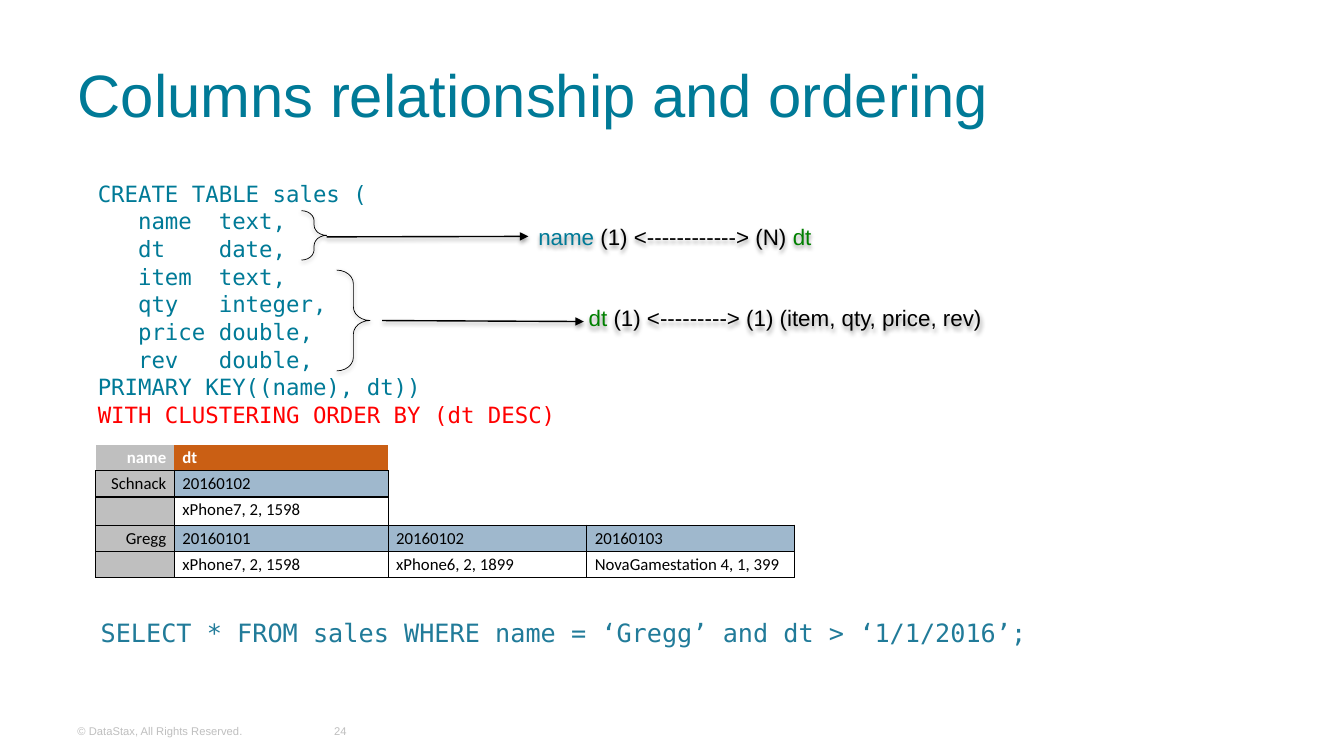
"""Build the slide on column relationships and clustering order."""
from dataclasses import dataclass

from lxml.etree import SubElement
from pptx import Presentation
from pptx.dml.color import RGBColor
from pptx.enum.shapes import MSO_CONNECTOR, MSO_SHAPE
from pptx.enum.text import MSO_ANCHOR, PP_ALIGN
from pptx.oxml.ns import qn
from pptx.shapes.base import BaseShape
from pptx.slide import Slide
from pptx.table import _Cell
from pptx.text.text import Font, TextFrame
from pptx.util import Emu, Pt

COLORS = {
    "teal": "007A97", "query": "217B99", "red": "FF0000", "green": "008000",
    "black": "000000", "white": "FFFFFF", "gray": "BFBFBF",
    "orange": "CA5F14", "blue": "9FB8CD",
}
MONO = "DejaVu Sans Mono"
NO_STYLE_TABLE = "{2D5ABB26-0587-4C30-8999-92F81FD0307C}"

CODE = [
    "CREATE TABLE sales (",
    "   name  text,",
    "   dt    date,",
    "   item  text,",
    "   qty   integer,",
    "   price double,",
    "   rev   double,",
    "PRIMARY KEY((name), dt))",
    "WITH CLUSTERING ORDER BY (dt DESC)",
]
COLUMN_WIDTHS = [78, 212, 197, 206]


@dataclass(frozen=True)
class Box:
    left: int
    top: int
    width: int
    height: int


@dataclass(frozen=True)
class TextItem:
    box: Box
    lines: list[str]
    face: str
    size: float
    color: str
    anchor: MSO_ANCHOR = MSO_ANCHOR.MIDDLE
    align: PP_ALIGN = PP_ALIGN.LEFT


@dataclass(frozen=True)
class Relation:
    label: Box
    spans: list[tuple[str, str]]
    arrow: tuple[int, int, int, int]
    brace: Box
    joined: bool


@dataclass(frozen=True)
class TableRow:
    height: int
    texts: list[str]
    fill: str
    boxed: bool = True


COPYRIGHT = TextItem(Box(67, 705, 233, 40), ["© DataStax, All Rights Reserved."], "Arial", 8, "gray")
PAGE_NUMBER = TextItem(Box(308, 705, 59, 40), ["24"], "Arial", 8, "gray", align=PP_ALIGN.CENTER)
SCHEMA = TextItem(Box(85, 155, 484, 292), CODE, MONO, 16, "teal")
QUERY = TextItem(
    Box(90, 608, 1177, 43),
    ["SELECT * FROM sales WHERE name = ‘Gregg’ and dt > ‘1/1/2016’;"],
    MONO, 18, "query", MSO_ANCHOR.TOP,
)
RELATIONS = [
    Relation(
        Box(524, 216, 408, 37),
        [("name ", "teal"), ("(1) <------------> (N) ", "black"), ("dt", "green")],
        (324, 235, 524, 236), Box(299, 209, 25, 49), True,
    ),
    Relation(
        Box(574, 297, 479, 37),
        [("dt ", "green"), ("(1) <---------> (1) (item, qty, price, rev)", "black")],
        (379, 318, 579, 319), Box(334, 268, 33, 100), False,
    ),
]
ROWS = [
    TableRow(26, ["name", "dt"], "orange", boxed=False),
    TableRow(26, ["Schnack", "20160102"], "blue"),
    TableRow(28, ["", "xPhone7, 2, 1598"], "white"),
    TableRow(26, ["Gregg", "20160101", "20160102", "20160103"], "blue"),
    TableRow(26, ["", "xPhone7, 2, 1598", "xPhone6, 2, 1899", "NovaGamestation 4, 1, 399"], "white"),
]


def px(length: int) -> Emu:
    """Turn px into EMU, at 100 px to the inch."""
    return Emu(length * 9144)


def place(box: Box) -> tuple[Emu, Emu, Emu, Emu]:
    """Give a box as EMU lengths."""
    return px(box.left), px(box.top), px(box.width), px(box.height)


def rgb(color: str) -> RGBColor:
    """Look up a named colour."""
    return RGBColor.from_string(COLORS[color])


def style(font: Font, face: str, size: float, color: str, bold: bool = False) -> None:
    """Set the look of a font."""
    font.name, font.size, font.bold = face, Pt(size), bold
    font.color.rgb = rgb(color)


def set_margins(target: TextFrame | _Cell, side: int, end: int) -> None:
    """Set side margins and top and bottom margins."""
    target.margin_left = target.margin_right = px(side)
    target.margin_top = target.margin_bottom = px(end)


def cast_shadow(shape: BaseShape) -> None:
    """Give a shape a soft shadow straight below it."""
    effects = SubElement(shape.element.spPr, qn("a:effectLst"))
    shadow = SubElement(
        effects, qn("a:outerShdw"), blurRad=str(Pt(3.1)), dist=str(Pt(1.6)),
        dir="5400000", rotWithShape="0",
    )
    tint = SubElement(shadow, qn("a:srgbClr"), val=COLORS["black"])
    SubElement(tint, qn("a:alpha"), val="38000")


def add_text(page: Slide, item: TextItem) -> TextFrame:
    """Add a text box with one paragraph for each line."""
    frame = page.shapes.add_textbox(*place(item.box)).text_frame
    frame.word_wrap = True
    frame.vertical_anchor = item.anchor
    frame.text = "\n".join(item.lines)
    for para in frame.paragraphs:
        para.alignment = item.align
        style(para.font, item.face, item.size, item.color)
    return frame


def add_relation(page: Slide, relation: Relation) -> None:
    """Add a group of a label, an arrow and a brace."""
    shapes = page.shapes.add_group_shape().shapes
    label = shapes.add_textbox(*place(relation.label))
    label.text_frame.word_wrap = True
    label.text_frame.vertical_anchor = MSO_ANCHOR.MIDDLE
    for text, color in relation.spans:
        span = label.text_frame.paragraphs[0].add_run()
        span.text = text
        style(span.font, "Arial", 16, color)

    arrow = shapes.add_connector(MSO_CONNECTOR.STRAIGHT, *map(px, relation.arrow))
    if relation.joined:
        arrow.end_connect(label, 1)
    arrow.line.color.rgb = rgb("black")
    arrow.line.width = Pt(1)
    SubElement(arrow.element.spPr.find(qn("a:ln")), qn("a:tailEnd"), type="triangle")

    brace = shapes.add_shape(MSO_SHAPE.RIGHT_BRACE, *place(relation.brace))
    brace.adjustments[0] = 0.41
    brace.fill.background()
    brace.line.color.rgb = rgb("black")
    brace.line.width = Pt(0.5)
    for shape in (label, arrow, brace):
        cast_shadow(shape)


def is_boxed(row: int, column: int) -> bool:
    """Tell whether a table cell has a border."""
    inside = 0 <= row < len(ROWS) and column >= 0
    return inside and ROWS[row].boxed and column < len(ROWS[row].texts)


def set_borders(cell: _Cell, row: int, column: int) -> None:
    """Draw each edge that this cell or its neighbour needs."""
    for side, down, across in (("L", 0, -1), ("R", 0, 1), ("T", -1, 0), ("B", 1, 0)):
        line = SubElement(cell._tc.get_or_add_tcPr(), qn(f"a:ln{side}"), w=str(Pt(1)))
        if is_boxed(row, column) or is_boxed(row + down, column + across):
            SubElement(SubElement(line, qn("a:solidFill")), qn("a:srgbClr"), val=COLORS["black"])
        else:
            SubElement(line, qn("a:noFill"))


def add_sales_table(page: Slide) -> None:
    """Add the table of stored rows."""
    box = Box(95, 441, sum(COLUMN_WIDTHS), sum(row.height for row in ROWS))
    table = page.shapes.add_table(len(ROWS), len(COLUMN_WIDTHS), *place(box)).table
    table._tbl.tblPr.find(qn("a:tableStyleId")).text = NO_STYLE_TABLE
    for column, width in enumerate(COLUMN_WIDTHS):
        table.columns[column].width = px(width)
    for index, row in enumerate(ROWS):
        table.rows[index].height = px(row.height)
        for column in range(len(COLUMN_WIDTHS)):
            cell = table.cell(index, column)
            used = column < len(row.texts)
            cell.text = row.texts[column] if used else ""
            set_margins(cell, 8, 3)
            set_borders(cell, index, column)
            cell.fill.solid()
            cell.fill.fore_color.rgb = rgb("gray" if column == 0 else row.fill if used else "white")
            para = cell.text_frame.paragraphs[0]
            para.alignment = PP_ALIGN.RIGHT if column == 0 else PP_ALIGN.LEFT
            style(para.font, "Calibri", 12, "black" if row.boxed else "white", not row.boxed)


def add_title(page: Slide) -> None:
    """Place and format the title."""
    title = page.shapes.title
    title.left, title.top, title.width, title.height = place(Box(67, 30, 1200, 125))
    title.text_frame.text = "Columns relationship and ordering"
    title.text_frame.vertical_anchor = MSO_ANCHOR.MIDDLE
    para = title.text_frame.paragraphs[0]
    para.alignment = PP_ALIGN.LEFT
    style(para.font, "Arial", 42.7, "teal")


def main() -> None:
    """Build and save the deck."""
    deck = Presentation()
    deck.slide_width, deck.slide_height = px(1333), px(750)
    page = deck.slides.add_slide(deck.slide_layouts[5])
    add_title(page)
    add_text(page, COPYRIGHT)
    add_text(page, PAGE_NUMBER)
    schema = add_text(page, SCHEMA)
    set_margins(schema, 12, 0)
    for para in schema.paragraphs:
        para.line_spacing = 1.03
    schema.paragraphs[-1].font.color.rgb = rgb("red")
    add_sales_table(page)
    add_text(page, QUERY)
    for relation in RELATIONS:
        add_relation(page, relation)
    deck.save("out.pptx")


if __name__ == "__main__":
    main()
